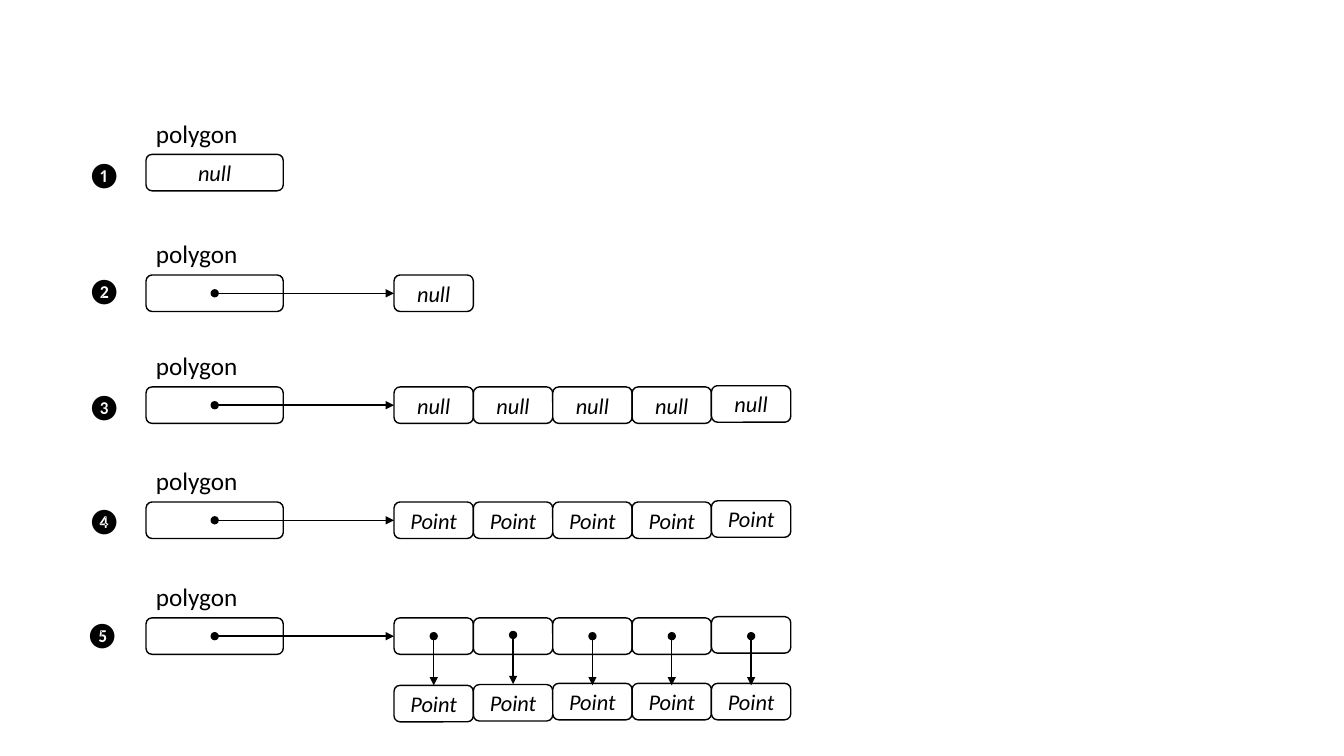
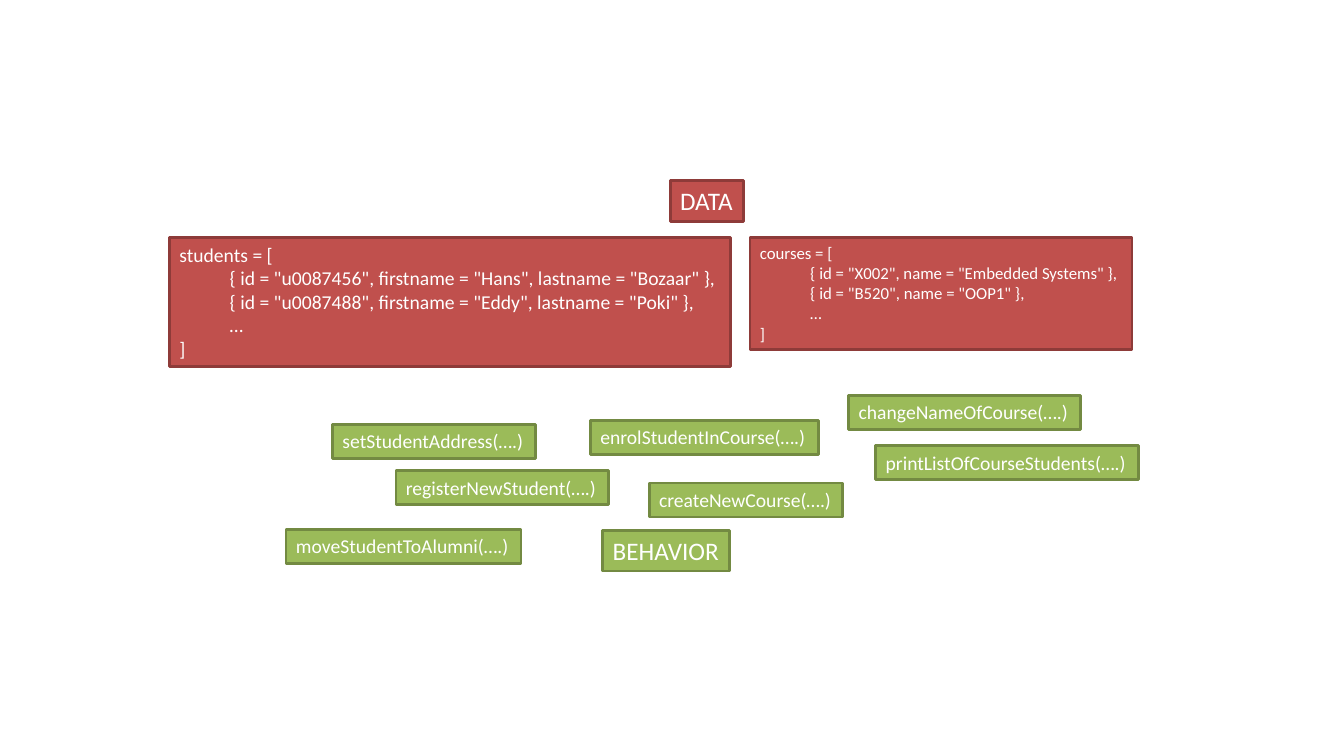
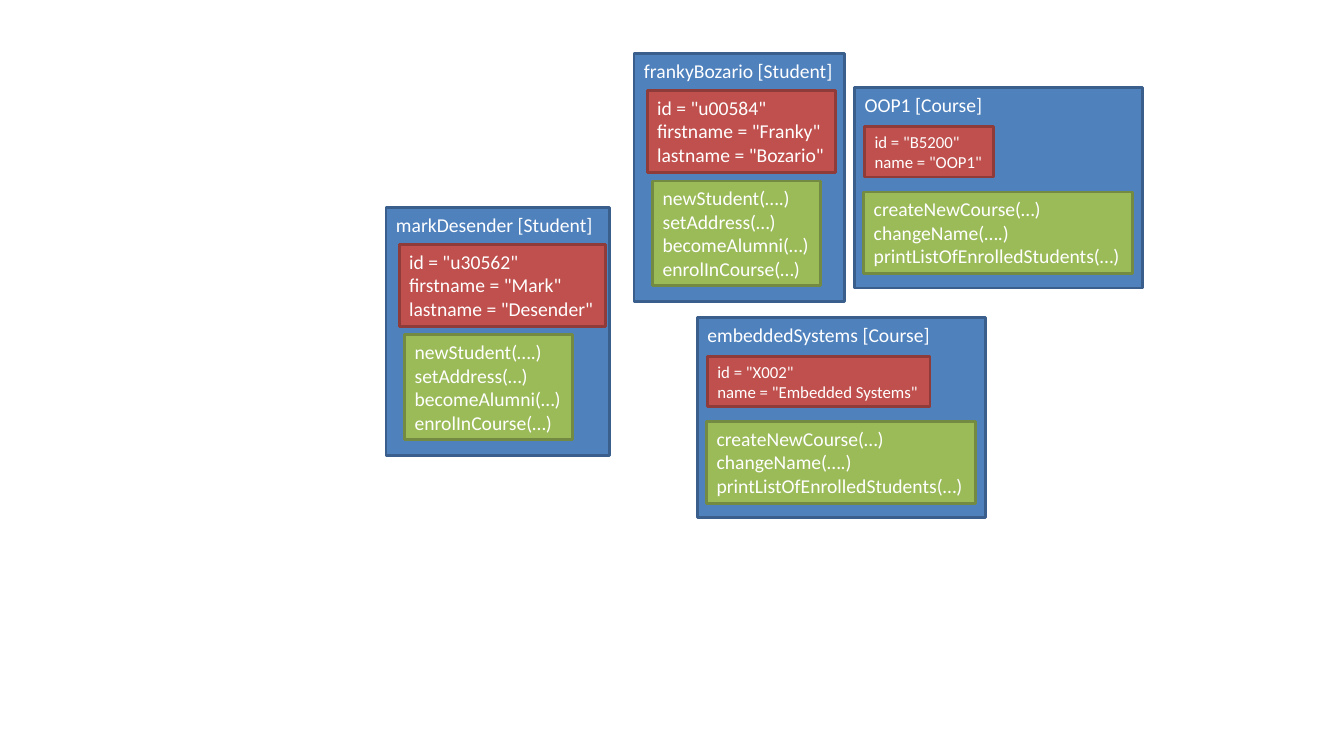
import pptx
import pptx.util
import pptx.dml.color
import pptx.enum.shapes
import pptx.enum.text
import pptx.oxml
import pptx.oxml.ns
import lxml.etree

Cm = pptx.util.Cm
SHAPES = pptx.enum.shapes.MSO_SHAPE
ANCHORS = pptx.enum.text.MSO_ANCHOR
ALIGNMENTS = pptx.enum.text.PP_ALIGN
SIZING = pptx.enum.text.MSO_AUTO_SIZE

FONT = "Calibri"
BLACK, WHITE = "000000", "FFFFFF"
DATA = ("C0504D", "8E3B39")
BEHAVIOR = ("9BBB59", "738A42")
OBJECT = ("4F81BD", "3A5F8C")

SLOT_COUNT = 5
STEPS = [
    ("❶", 1.96, 3.89, 3.89, "null", []),
    ("❷", 1.96, 6.81, 6.93, "", ["null"]),
    ("❸", 1.96, 9.73, 9.75, "", ["null"] * SLOT_COUNT),
    ("❹", 1.96, 12.6, 12.65, "", ["Point"] * SLOT_COUNT),
    ("❺", 1.91, 15.49, 15.57, "", [""] * SLOT_COUNT),
]
POINT_TOPS = [17.27, 17.25, 17.22, 17.22, 17.22]
POINTER_STARTS = [16.03, 16.0, 16.03, 16.03, 16.03]
POINTER_LENGTH = 1.24
VARIABLE_LEFT, VARIABLE_WIDTH = 3.68, 3.46
SLOT_LEFT, SLOT_WIDTH, SLOT_HEIGHT = 9.93, 2.0, 0.92
LAST_SLOT_RISE = 0.03

PROCEDURAL_BOXES = [
    (DATA, 4.27, 5.99, 14.15, 3.25, 14, [
        "students = [",
        "\t{ id = \"u0087456\", firstname = \"Hans\", lastname = \"Bozaar\" },",
        "\t{ id = \"u0087488\", firstname = \"Eddy\", lastname = \"Poki\" },",
        "\t…",
        "]"]),
    (DATA, 16.89, 4.55, 1.85, 1.03, 18, ["DATA"]),
    (BEHAVIOR, 14.88, 10.59, 5.74, 0.86, 14, ["enrolStudentInCourse(….)"]),
    (DATA, 18.9, 5.99, 9.63, 2.82, 12, [
        "courses = [",
        "\t{ id = \"X002\", name = \"Embedded Systems\" },",
        "\t{ id = \"B520\", name = \"OOP1\" },",
        "\t…",
        "]"]),
    (BEHAVIOR, 16.36, 12.17, 4.88, 0.86, 14, ["createNewCourse(….)"]),
    (BEHAVIOR, 9.98, 11.86, 5.36, 0.86, 14, ["registerNewStudent(….)"]),
    (BEHAVIOR, 7.21, 13.34, 5.92, 0.86, 14, ["moveStudentToAlumni(….)"]),
    (BEHAVIOR, 21.39, 9.96, 5.84, 0.86, 14, ["changeNameOfCourse(….)"]),
    (BEHAVIOR, 8.38, 10.69, 5.11, 0.86, 14, ["setStudentAddress(….)"]),
    (BEHAVIOR, 22.07, 11.23, 6.63, 0.86, 14, ["printListOfCourseStudents(….)"]),
    (BEHAVIOR, 15.19, 13.36, 3.2, 1.03, 18, ["BEHAVIOR"]),
]

CLASSES = {
    "Student": {
        "height": 6.25,
        "data": (0.33, 0.94, 2.06, 14),
        "behavior": (0.47, 3.21, 4.22, 2.64),
        "methods": ["newStudent(….)", "setAddress(…)", "becomeAlumni(…)", "enrolInCourse(…)"],
    },
    "Course": {
        "height": 5.05,
        "data": (0.25, 0.98, 1.27, 12),
        "behavior": (0.23, 2.63, 6.78, 2.06),
        "methods": ["createNewCourse(…)", "changeName(….)", "printListOfEnrolledStudents(…)"],
    },
}
OBJECTS = [
    ("frankyBozario", "Student", 15.98, 1.35, 5.31, 4.75,
     ["id = \"u00584\"", "firstname = \"Franky\"", "lastname = \"Bozario\""]),
    ("embeddedSystems", "Course", 17.58, 8.0, 7.26, 5.61,
     ["id = \"X002\"", "name = \"Embedded Systems\""]),
    ("OOP1", "Course", 21.54, 2.21, 7.26, 3.25,
     ["id = \"B5200\"", "name = \"OOP1\""]),
    ("markDesender", "Student", 9.73, 5.23, 5.64, 5.21,
     ["id = \"u30562\"", "firstname = \"Mark\"", "lastname = \"Desender\""]),
]


def color(value):
    return pptx.dml.color.RGBColor.from_string(value)


def write(shape, lines, size, font_color, italic=False, alignment=ALIGNMENTS.LEFT):
    frame = shape.text_frame
    for index, line in enumerate(lines):
        paragraph = frame.paragraphs[0] if index == 0 else frame.add_paragraph()
        paragraph.alignment = alignment
        if line.startswith("\t"):
            properties = paragraph._p.get_or_add_pPr()
            properties.set("marL", str(Cm(1.27)))
            properties.set("indent", "0")
        run = paragraph.add_run()
        run.text = line.lstrip("\t")
        run.font.name = FONT
        run.font.size = pptx.util.Pt(size)
        run.font.italic = italic
        run.font.color.rgb = color(font_color)


def fit_text(shape):
    shape.text_frame.word_wrap = False
    shape.text_frame.auto_size = SIZING.SHAPE_TO_FIT_TEXT


def add_box(slide, kind, colors, left, top, width, height, line_width):
    shape = slide.shapes.add_shape(kind, Cm(left), Cm(top), Cm(width), Cm(height))
    shape.shadow.inherit = False
    shape.fill.solid()
    shape.fill.fore_color.rgb = color(colors[0])
    shape.line.color.rgb = color(colors[1])
    shape.line.width = pptx.util.Pt(line_width)
    return shape


def add_cell(slide, text, left, top, width):
    shape = add_box(slide, SHAPES.ROUNDED_RECTANGLE, (WHITE, BLACK),
                    left, top, width, SLOT_HEIGHT, 1)
    if text:
        shape.text_frame.vertical_anchor = ANCHORS.MIDDLE
        write(shape, [text], 16, BLACK, True, ALIGNMENTS.CENTER)


def add_label(slide, text, left, top, width):
    shape = slide.shapes.add_textbox(Cm(left), Cm(top), Cm(width), Cm(1.03))
    fit_text(shape)
    write(shape, [text], 18, BLACK)


def add_pointer(slide, left, top, right, bottom):
    connector = slide.shapes.add_connector(
        pptx.enum.shapes.MSO_CONNECTOR.STRAIGHT, Cm(left), Cm(top), Cm(right), Cm(bottom))
    connector.line.color.rgb = color(BLACK)
    connector.line.width = pptx.util.Pt(1)
    line = connector.line._get_or_add_ln()
    for end, style in (("a:headEnd", "oval"), ("a:tailEnd", "triangle")):
        lxml.etree.SubElement(line, pptx.oxml.ns.qn(end)).set("type", style)
    lxml.etree.SubElement(connector._element.spPr, pptx.oxml.ns.qn("a:effectLst"))


def add_code(slide, colors, left, top, width, height, size, lines):
    shape = add_box(slide, SHAPES.RECTANGLE, colors, left, top, width, height, 2)
    shape.text_frame.vertical_anchor = ANCHORS.TOP
    fit_text(shape)
    write(shape, lines, size, WHITE)


def add_object(slide, name, class_name, left, top, width, data_width, fields):
    layout = CLASSES[class_name]
    card = add_box(slide, SHAPES.RECTANGLE, OBJECT, left, top, width, layout["height"], 2)
    card.text_frame.vertical_anchor = ANCHORS.TOP
    card.text_frame.word_wrap = True
    card.text_frame.margin_right = 0
    write(card, [f"{name} [{class_name}]"], 14, WHITE)
    across, down, height, size = layout["data"]
    add_code(slide, DATA, left + across, top + down, data_width, height, size, fields)
    across, down, methods_width, height = layout["behavior"]
    add_code(slide, BEHAVIOR, left + across, top + down, methods_width, height, 14,
             layout["methods"])


presentation = pptx.Presentation()
presentation.slide_width = Cm(33.87)
presentation.slide_height = Cm(19.05)
memory_slide, procedural_slide, object_slide = [
    presentation.slides.add_slide(presentation.slide_layouts[6]) for _ in range(3)]

slot_lefts = [SLOT_LEFT + index * SLOT_WIDTH for index in range(SLOT_COUNT)]
for number, number_left, number_top, top, value, slots in STEPS:
    add_label(memory_slide, number, number_left, number_top, 1.09)
    add_label(memory_slide, "polygon", VARIABLE_LEFT, top - 1.04, 2.59)
    add_cell(memory_slide, value, VARIABLE_LEFT, top, VARIABLE_WIDTH)
    for index, text in enumerate(slots):
        rise = LAST_SLOT_RISE if index == SLOT_COUNT - 1 else 0
        add_cell(memory_slide, text, slot_lefts[index], top - rise, SLOT_WIDTH)
    if slots:
        middle = top + SLOT_HEIGHT / 2
        add_pointer(memory_slide, VARIABLE_LEFT + VARIABLE_WIDTH / 2, middle, SLOT_LEFT, middle)
for left, point_top, start in zip(slot_lefts, POINT_TOPS, POINTER_STARTS):
    center = left + SLOT_WIDTH / 2
    add_cell(memory_slide, "Point", left, point_top, SLOT_WIDTH)
    add_pointer(memory_slide, center, start, center, start + POINTER_LENGTH)

for box in PROCEDURAL_BOXES:
    add_code(procedural_slide, *box)

for item in OBJECTS:
    add_object(object_slide, *item)

presentation.save("out.pptx")
